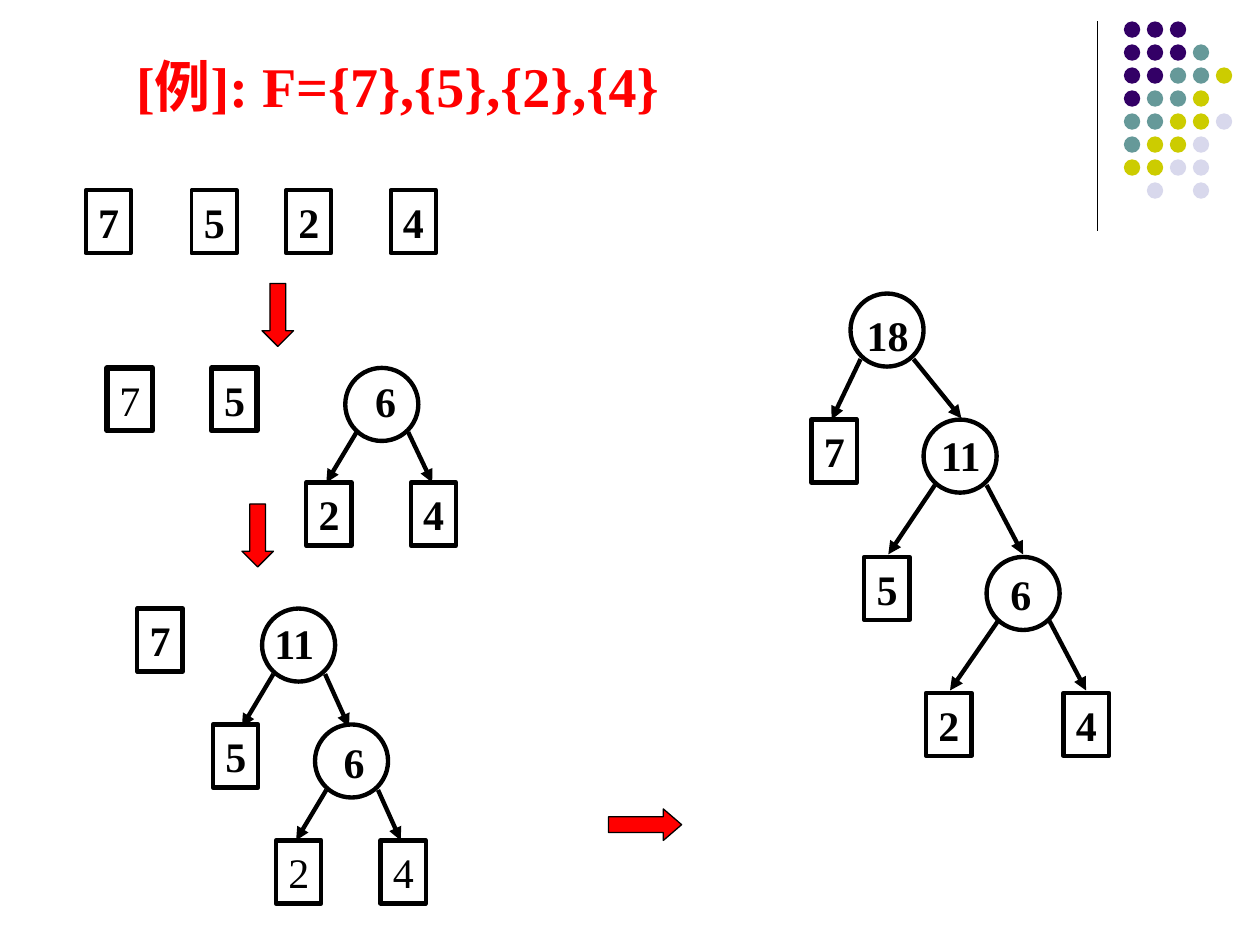
from dataclasses import dataclass

from lxml.etree import SubElement
from pptx import Presentation
from pptx.dml.color import RGBColor
from pptx.enum.shapes import MSO_CONNECTOR as Connector, MSO_SHAPE as Shape
from pptx.enum.text import MSO_ANCHOR as Anchor, MSO_AUTO_SIZE as AutoSize, PP_ALIGN as Align
from pptx.oxml.ns import qn
from pptx.slide import Slide
from pptx.util import Inches, Pt

BLACK = RGBColor(0x00, 0x00, 0x00)
RED = RGBColor(0xFF, 0x00, 0x00)
PURPLE = RGBColor(0x33, 0x00, 0x66)
TEAL = RGBColor(0x66, 0x99, 0x99)
OLIVE = RGBColor(0xCC, 0xCC, 0x00)
LILAC = RGBColor(0xD8, 0xD8, 0xEC)

DOT_COLORS = {"P": PURPLE, "T": TEAL, "O": OLIVE, "L": LILAC}
DOT_ROWS = ["PPP", "PPPT", "PPTTO", "PTTO", "TTOOL", "TOOL", "OOLL", " L L"]
DOT_PITCH = 0.73 / 4
DOT_SIZE = 0.13


@dataclass
class Painter:
    page: Slide
    font: str = "Times New Roman"
    node_size: float = 0.58
    leaf_width: float = 0.36
    leaf_height: float = 0.5
    stroke: float = 2.5

    def shape(self, kind, left, top, width, height, fill=None, stroke=None):
        shape = self.page.shapes.add_shape(
            kind, Inches(left), Inches(top), Inches(width), Inches(height))
        shape.shadow.inherit = False
        if fill is None:
            shape.fill.background()
        else:
            shape.fill.solid()
            shape.fill.fore_color.rgb = fill
        if stroke is None:
            shape.line.fill.background()
        else:
            shape.line.color.rgb = BLACK
            shape.line.width = Pt(stroke)
        return shape

    def set_text(self, box, text, size=24, color=BLACK, bold=True):
        frame = box.text_frame
        frame.word_wrap = False
        frame.auto_size = AutoSize.SHAPE_TO_FIT_TEXT
        frame.vertical_anchor = Anchor.TOP
        para = frame.paragraphs[0]
        para.text = text
        para.alignment = Align.LEFT
        para.font.name = self.font
        para.font.size = Pt(size)
        para.font.bold = bold
        para.font.color.rgb = color

    def label(self, text, left, top, width, height, **style):
        box = self.page.shapes.add_textbox(
            Inches(left), Inches(top), Inches(width), Inches(height))
        self.set_text(box, text, **style)
        return box

    def leaf(self, text, left, top, stroke=None, bold=True):
        box = self.shape(Shape.RECTANGLE, left, top, self.leaf_width,
                         self.leaf_height, stroke=stroke or self.stroke)
        self.set_text(box, text, bold=bold)

    def node(self, text, left, top, shift, drop):
        self.shape(Shape.OVAL, left, top, self.node_size, self.node_size,
                   stroke=self.stroke)
        width = self.leaf_width if len(text) == 1 else 0.53
        self.label(text, left + shift, top + drop, width, self.leaf_height)

    def line(self, start, end, stroke):
        line = self.page.shapes.add_connector(
            Connector.STRAIGHT, *(Inches(value) for value in (*start, *end)))
        line.line.color.rgb = BLACK
        line.line.width = Pt(stroke)
        SubElement(line._element.spPr, qn("a:effectLst"))
        return line

    def edge(self, start, end):
        line = self.line(start, end, self.stroke)
        SubElement(line.get_or_add_ln(), qn("a:tailEnd"), type="triangle")

    def block_arrow(self, kind, left, top, width, height, head=0.5):
        arrow = self.shape(kind, left, top, width, height, RED, 0.75)
        arrow.adjustments[1] = head

    def dots(self, left, top):
        for row, codes in enumerate(DOT_ROWS):
            for column, code in enumerate(codes):
                if code in DOT_COLORS:
                    self.shape(Shape.OVAL, left + column * DOT_PITCH,
                               top + row * DOT_PITCH, DOT_SIZE, DOT_SIZE,
                               DOT_COLORS[code])


def draw_start(painter):
    for text, left in [("7", 0.68), ("5", 1.52), ("2", 2.27), ("4", 3.1)]:
        painter.leaf(text, left, 1.51, stroke=2.25)


def draw_first_merge(painter):
    painter.leaf("7", 0.85, 2.92, stroke=3, bold=False)
    painter.leaf("5", 1.68, 2.92, stroke=3)
    painter.node("6", 2.74, 2.92, 0.14, 0.01)
    painter.leaf("2", 2.43, 3.83)
    painter.leaf("4", 3.26, 3.83)
    painter.edge((2.83, 3.43), (2.59, 3.83))
    painter.edge((3.24, 3.43), (3.43, 3.83))


def draw_second_merge(painter):
    painter.leaf("7", 1.09, 4.83)
    painter.node("11", 2.08, 4.83, 0, 0.02)
    painter.leaf("5", 1.69, 5.75)
    painter.node("6", 2.5, 5.75, 0.13, 0.05)
    painter.leaf("2", 2.19, 6.67, bold=False)
    painter.leaf("4", 3.02, 6.67, bold=False)
    painter.edge((2.17, 5.35), (1.92, 5.77))
    painter.edge((2.58, 5.35), (2.77, 5.77))
    painter.edge((2.59, 6.27), (2.35, 6.67))
    painter.edge((3, 6.27), (3.18, 6.67))


def draw_final_tree(painter):
    painter.node("18", 6.75, 2.33, 0.03, 0.08)
    painter.leaf("7", 6.44, 3.33)
    painter.node("11", 7.33, 3.33, 0.04, 0.03)
    painter.leaf("5", 6.86, 4.42)
    painter.node("6", 7.83, 4.42, 0.09, 0.04)
    painter.leaf("2", 7.35, 5.5)
    painter.leaf("4", 8.44, 5.5)
    painter.edge((6.83, 2.85), (6.6, 3.33))
    painter.edge((7.25, 2.85), (7.63, 3.32))
    painter.edge((7.42, 3.85), (7.05, 4.4))
    painter.edge((7.83, 3.85), (8.12, 4.4))
    painter.edge((7.92, 4.93), (7.54, 5.48))
    painter.edge((8.33, 4.93), (8.62, 5.48))


def main():
    deck = Presentation()
    deck.slide_width, deck.slide_height = Inches(10), Inches(7.5)
    painter = Painter(deck.slides.add_slide(deck.slide_layouts[6]))

    painter.line((8.71, 0.17), (8.71, 1.83), 0.75)
    painter.dots(8.92, 0.17)
    title = painter.label("[例]: F={7},{5},{2},{4}", 0.87, 0.36, 4.74, 0.64,
                          size=32, color=RED)
    title.text_frame.margin_left = Inches(0.21)

    draw_start(painter)
    painter.block_arrow(Shape.DOWN_ARROW, 2.08, 2.25, 0.25, 0.5)
    draw_first_merge(painter)
    painter.block_arrow(Shape.DOWN_ARROW, 1.92, 4, 0.25, 0.5)
    draw_second_merge(painter)
    painter.block_arrow(Shape.RIGHT_ARROW, 4.83, 6.42, 0.58, 0.25, head=0.58)
    draw_final_tree(painter)

    deck.save("out.pptx")


if __name__ == "__main__":
    main()
